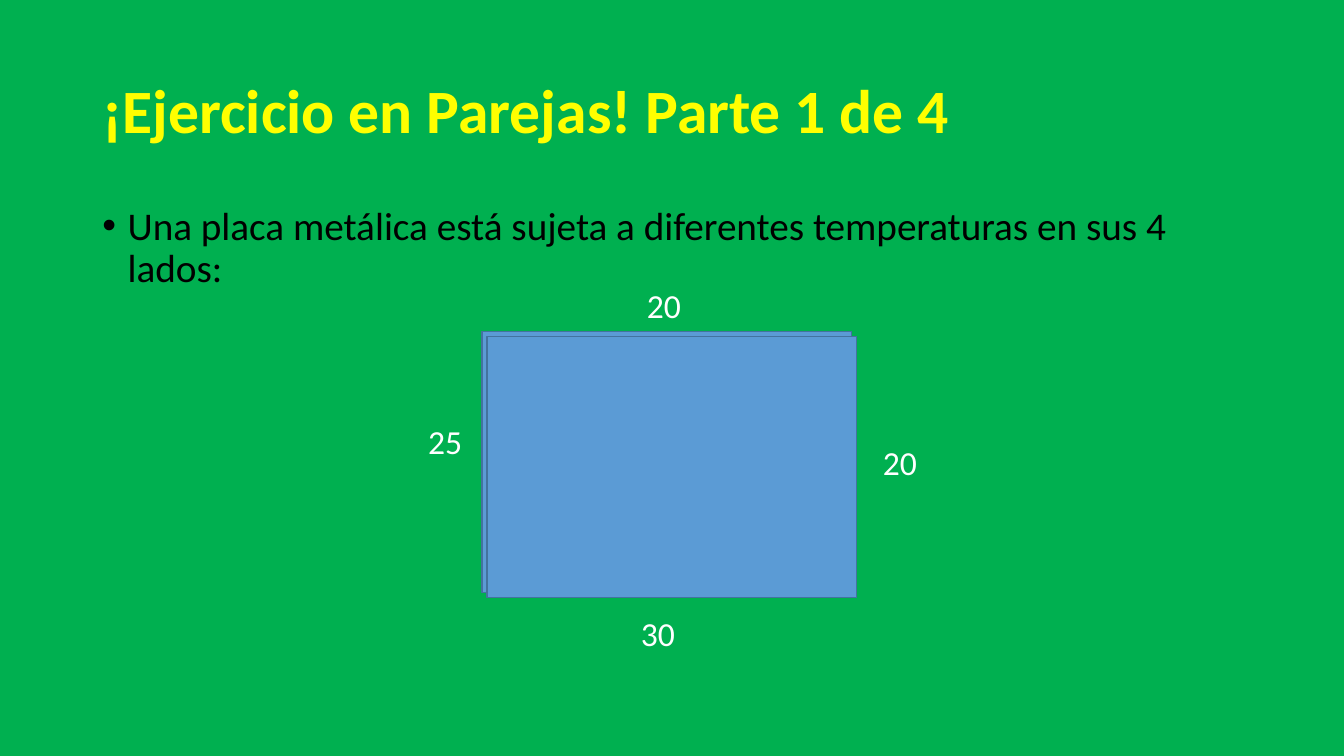
from collections import namedtuple
from dataclasses import dataclass

from lxml.etree import SubElement
from pptx import Presentation
from pptx.dml.color import RGBColor
from pptx.enum.shapes import MSO_SHAPE
from pptx.enum.text import MSO_ANCHOR, MSO_AUTO_SIZE, PP_ALIGN
from pptx.oxml.ns import qn
from pptx.util import Pt

Box = namedtuple("Box", "left top width height")


@dataclass(frozen=True)
class Theme:
    """Colours, font and type sizes of the slide."""
    background: RGBColor = RGBColor(0x00, 0xB0, 0x50)
    title: RGBColor = RGBColor(0xFF, 0xFF, 0x00)
    body: RGBColor = RGBColor(0x00, 0x00, 0x00)
    label: RGBColor = RGBColor(0xFF, 0xFF, 0xFF)
    plate: RGBColor = RGBColor(0x5B, 0x9B, 0xD5)
    plate_edge: RGBColor = RGBColor(0x43, 0x73, 0x9E)
    font: str = "Calibri"
    title_size: int = 44
    body_size: int = 28
    label_size: int = 24


THEME = Theme()


def place(shape, box):
    """Move and size a shape to fill a box."""
    shape.left, shape.top, shape.width, shape.height = map(Pt, box)


def write(shape, text, size, color, bold=False):
    """Set one left-aligned paragraph and return it."""
    frame = shape.text_frame
    frame.text = text
    frame.word_wrap = True
    frame.auto_size = MSO_AUTO_SIZE.NONE
    paragraph = frame.paragraphs[0]
    paragraph.alignment = PP_ALIGN.LEFT
    font = paragraph.runs[0].font
    font.name, font.size, font.bold = THEME.font, Pt(size), bold
    font.color.rgb = color
    return paragraph


def add_title(slide, box, text):
    """Fill the title placeholder."""
    title = slide.shapes.title
    place(title, box)
    paragraph = write(title, text, THEME.title_size, THEME.title, bold=True)
    paragraph.line_spacing = 0.9
    title.text_frame.vertical_anchor = MSO_ANCHOR.MIDDLE


def add_statement(slide, box, text):
    """Fill the body placeholder with one bulleted paragraph."""
    body = slide.placeholders[1]
    place(body, box)
    paragraph = write(body, text, THEME.body_size, THEME.body)
    paragraph.line_spacing = 0.9
    paragraph.space_before = Pt(10)
    properties = paragraph._p.get_or_add_pPr()
    properties.set("marL", str(Pt(18)))
    properties.set("indent", str(-Pt(18)))
    SubElement(properties, qn("a:buFont")).set("typeface", "Arial")
    SubElement(properties, qn("a:buChar")).set("char", "•")


def add_plate(shapes, box):
    """Draw one sheet of the metal plate."""
    plate = shapes.add_shape(MSO_SHAPE.RECTANGLE, *map(Pt, box))
    plate.shadow.inherit = False
    plate.fill.solid()
    plate.fill.fore_color.rgb = THEME.plate
    plate.line.color.rgb = THEME.plate_edge
    plate.line.width = Pt(1)


def add_heated_plate(slide, box, temperatures):
    """Group two offset sheets with a temperature beside each side."""
    shapes = slide.shapes.add_group_shape().shapes
    for offset in (0, 3.6):
        add_plate(shapes, Box(box.left + offset, box.top + offset,
                              box.width, box.height))
    for text, across, down in temperatures:
        label = shapes.add_textbox(Pt(box.left + across), Pt(box.top + down),
                                   Pt(50.4), Pt(36))
        write(label, text, THEME.label_size, THEME.label)


def build_exercise(presentation):
    """Build the exercise slide."""
    slide = presentation.slides.add_slide(presentation.slide_layouts[1])
    slide.background.fill.solid()
    slide.background.fill.fore_color.rgb = THEME.background
    add_title(slide, Box(66, 28.8, 757.4, 104.4),
              "¡Ejercicio en Parejas! Parte 1 de 4")
    add_statement(slide, Box(66, 144, 828, 342.7),
                  "Una placa metálica está sujeta a diferentes temperaturas "
                  "en sus 4 lados:")
    add_heated_plate(slide, Box(344.2, 236.9, 264.2, 186.5), [
        ("20", 110.8, -36.7),
        ("20", 279.3, 74.9),
        ("30", 106.5, 197.3),
        ("25", -45.4, 60.5),
    ])


presentation = Presentation()
presentation.slide_width, presentation.slide_height = Pt(960), Pt(540)
build_exercise(presentation)
presentation.save("out.pptx")
